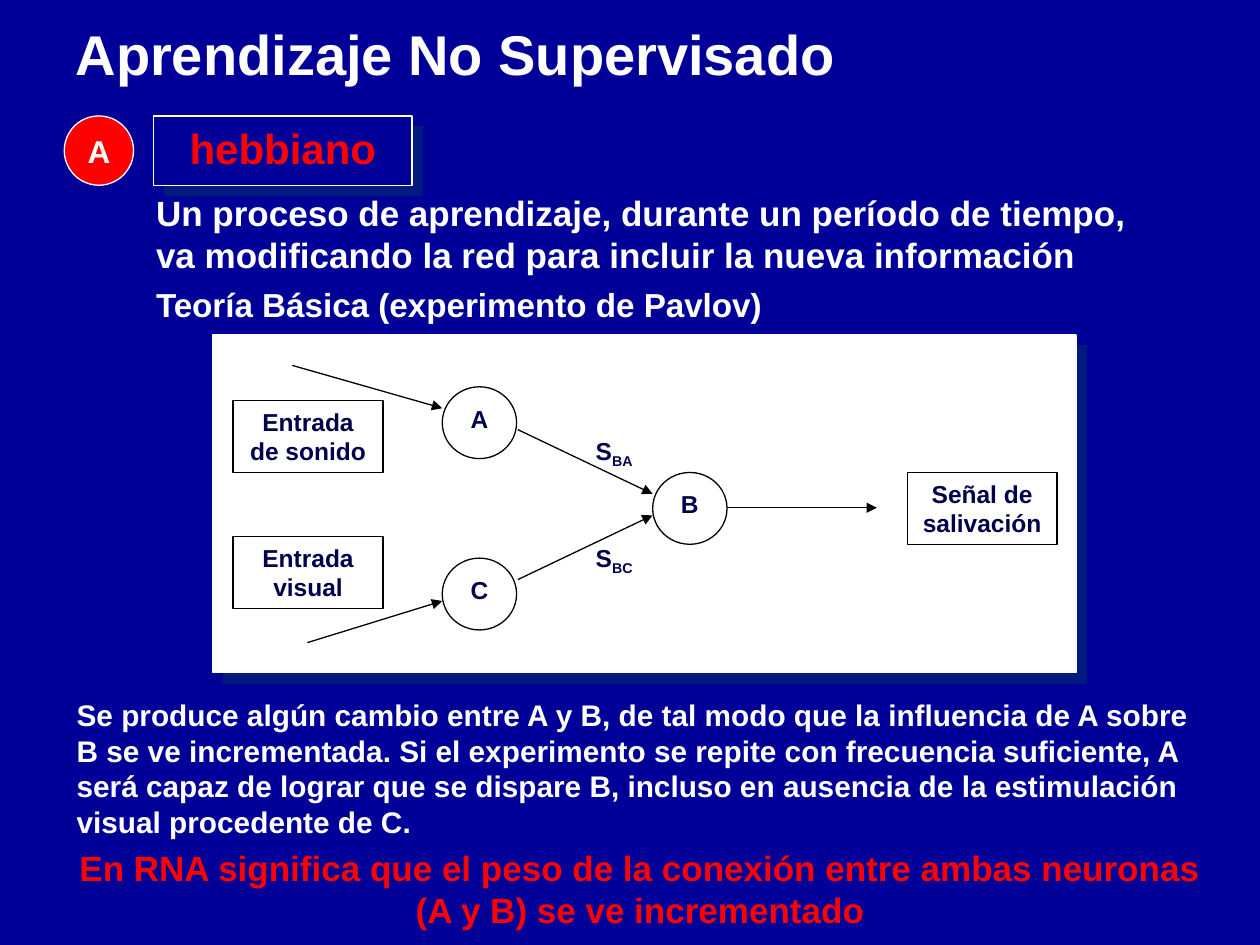
from lxml.etree import SubElement as Sub
from pptx import Presentation
from pptx.dml.color import RGBColor as Rgb
from pptx.enum.shapes import MSO_CONNECTOR as Conn, MSO_SHAPE as Kind
from pptx.enum.text import MSO_ANCHOR as Anchor, PP_ALIGN as Align
from pptx.oxml.ns import qn
from pptx.util import Inches, Pt

HUES = {"back": "000099", "white": "FFFFFF", "red": "FF0000",
        "black": "000000", "ink": "00004C", "shade": "003366"}

TITLE = "Aprendizaje No Supervisado"
INTRO = [
    ((1.14, 1.47, 8.27, 0.87), 20,
     "Un proceso de aprendizaje, durante un período de tiempo, "
     "va modificando la red para incluir la nueva información"),
    ((1.14, 2.21, 8.03, 0.47), 19, "Teoría Básica (experimento de Pavlov)"),
]
CLOSE = [
    ("Se produce algún cambio entre A y B, de tal modo que la influencia de "
     "A sobre B se ve incrementada. Si el experimento se repite con "
     "frecuencia suficiente, A será capaz de lograr que se dispare B, incluso "
     "en ausencia de la estimulación visual procedente de C.",
     17, "white", Align.LEFT, 0),
    ("En RNA significa que el peso de la conexión entre ambas neuronas "
     "(A y B) se ve incrementado", 20, "red", Align.CENTER, 4),
]
NODES = [("A", 3.51, 3.07), ("C", 3.51, 4.43), ("B", 5.18, 3.75)]
BOXES = [("Entrada de sonido", 1.85, 3.18), ("Entrada visual", 1.85, 4.26),
         ("Señal de salivación", 7.2, 3.75)]
LINKS = [(4.11, 3.41, 5.18, 3.92), (4.11, 4.6, 5.18, 4.09),
         (5.77, 4.03, 6.96, 4.03), (2.32, 2.9, 3.51, 3.24),
         (2.44, 5.1, 3.51, 4.77)]
WEIGHTS = [("BA", 3.41), ("BC", 4.26)]


def color(name):
    return Rgb.from_string(HUES[name])


def style(font, size, hue):
    for key, val in {"name": "Arial", "size": Pt(size), "bold": True}.items():
        setattr(font, key, val)
    font.color.rgb = color(hue)


def write(par, text, size, hue, align=Align.LEFT, gap=0):
    par.alignment = align
    par.space_before = Pt(gap)
    run = par.add_run()
    run.text = text
    style(run.font, size, hue)
    return run


def place(box):
    return [Inches(val) for val in box]


def label(box):
    frame = slide.shapes.add_textbox(*place(box)).text_frame
    frame.word_wrap = True
    return frame


def draw(kind, box, fill, edge, text="", size=14, hue="ink",
         anchor=Anchor.TOP, wrap=True):
    shape = slide.shapes.add_shape(kind, *place(box))
    shape.shadow.inherit = False
    shape.fill.solid()
    shape.fill.fore_color.rgb = color(fill)
    shape.line.color.rgb = color(edge)
    shape.line.width = Pt(0.75)
    frame = shape.text_frame
    frame.word_wrap = wrap
    frame.vertical_anchor = anchor
    if text:
        write(frame.paragraphs[0], text, size, hue, Align.CENTER)
    return shape


def shade(shape):
    glow = Sub(shape._element.spPr.find(qn("a:effectLst")), qn("a:outerShdw"),
               blurRad="0", dist=str(Pt(8.5)), dir="2700000",
               algn="ctr", rotWithShape="0")
    tint = Sub(glow, qn("a:srgbClr"), val=HUES["shade"])
    Sub(tint, qn("a:alpha"), val="50000")


def arrow(ends):
    link = slide.shapes.add_connector(Conn.STRAIGHT, *place(ends))
    link.line.color.rgb = color("black")
    link.line.width = Pt(0.75)
    Sub(link.line._get_or_add_ln(), qn("a:tailEnd"), type="triangle")
    Sub(link._element.spPr, qn("a:effectLst"))


deck = Presentation()
deck.slide_width, deck.slide_height = Inches(10), Inches(7.5)
slide = deck.slides.add_slide(deck.slide_layouts[5])
slide.background.fill.solid()
slide.background.fill.fore_color.rgb = color("back")

title = slide.shapes.title
for key, val in zip(("left", "top", "width", "height"),
                    place((0.5, -0.01, 9, 0.86))):
    setattr(title, key, val)
title.text_frame.vertical_anchor = Anchor.MIDDLE
write(title.text_frame.paragraphs[0], TITLE, 32, "white")

draw(Kind.OVAL, (0.51, 0.92, 0.55, 0.55), "red", "white", "A", 18, "white",
     Anchor.MIDDLE, False)
shade(draw(Kind.RECTANGLE, (1.22, 0.92, 2.05, 0.55), "back", "white",
           "hebbiano", 24, "red"))
for box, size, text in INTRO:
    write(label(box).paragraphs[0], text, size, "white")

shade(draw(Kind.RECTANGLE, (1.69, 2.66, 6.85, 2.68), "white", "white"))
for text, left, top in NODES:
    draw(Kind.OVAL, (left, top, 0.59, 0.57), "white", "black", text)
for ends in LINKS:
    arrow(ends)
for text, left, top in BOXES:
    draw(Kind.RECTANGLE, (left, top, 1.19, 0.57), "white", "black", text)
for sub, top in WEIGHTS:
    par = label((4.46, top, 0.83, 0.34)).paragraphs[0]
    write(par, "S", 14, "ink", Align.CENTER)
    low = write(par, sub, 14, "ink", Align.CENTER)
    low._r.get_or_add_rPr().set("baseline", "-25000")

frame = label((0.51, 5.48, 9.14, 1.89))
for row, part in enumerate(CLOSE):
    write(frame.add_paragraph() if row else frame.paragraphs[0], *part)

deck.save("out.pptx")
